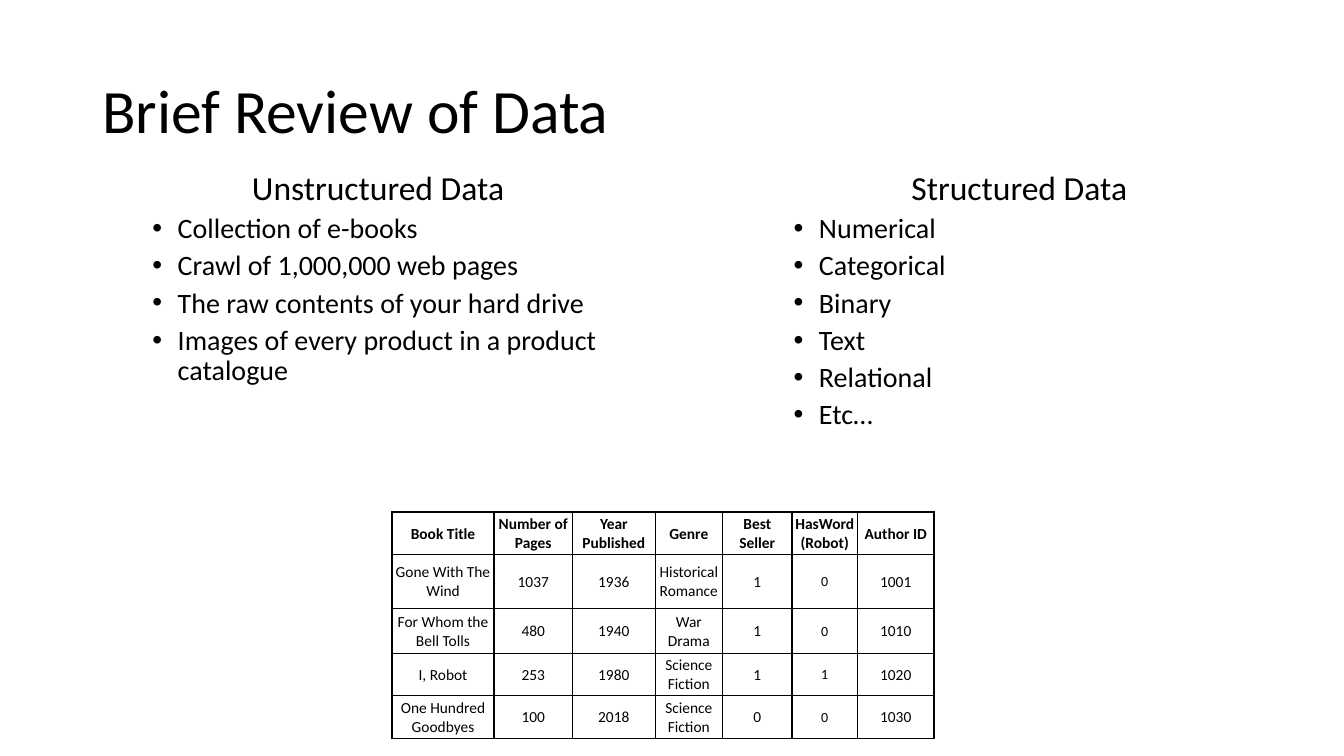
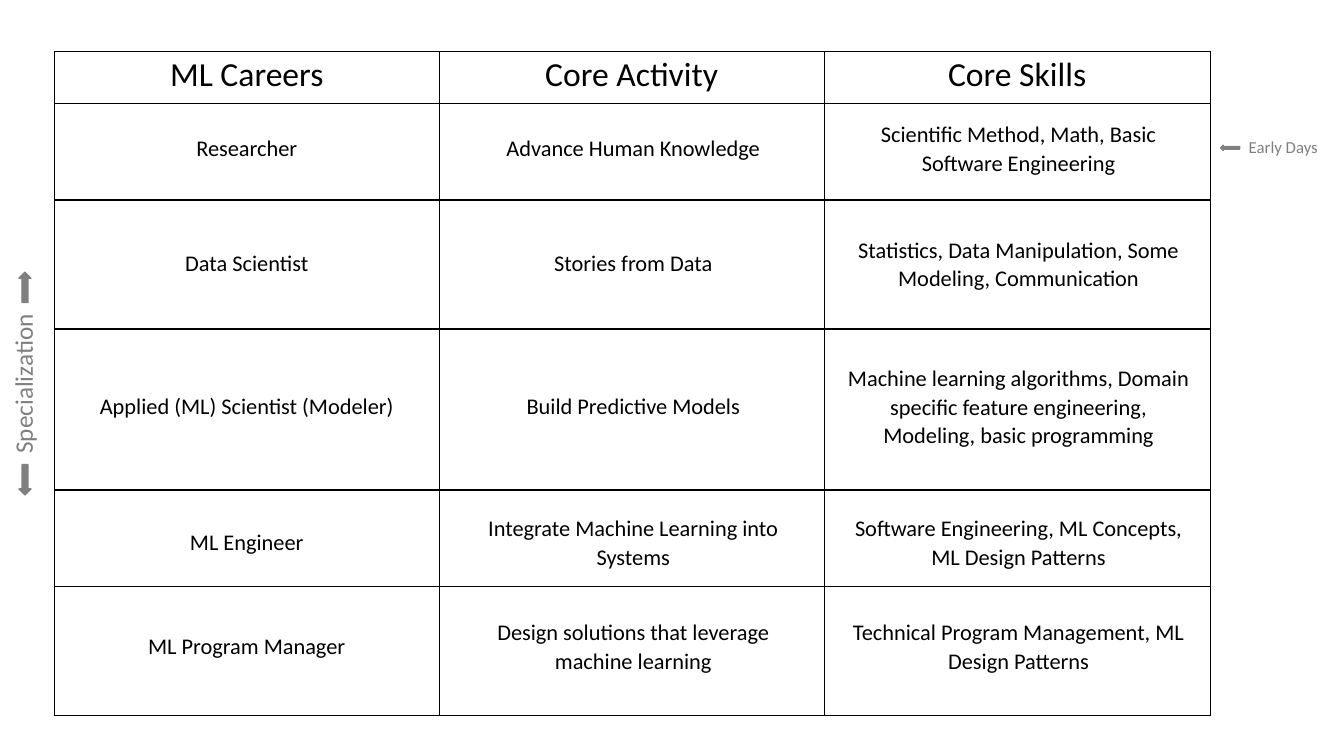
from pptx import Presentation
from pptx.dml.color import RGBColor
from pptx.enum.shapes import MSO_SHAPE
from pptx.enum.text import MSO_ANCHOR, PP_ALIGN
from pptx.oxml.ns import qn
from pptx.util import Cm, Pt
from lxml.etree import SubElement

# Content
LISTS = [
    ("Unstructured Data", ["Collection of e-books", "Crawl of 1,000,000 web pages",
                           "The raw contents of your hard drive",
                           "Images of every product in a product catalogue"]),
    ("Structured Data", ["Numerical", "Categorical", "Binary", "Text", "Relational", "Etc…"]),
]
BOOKS = [
    ("Book Title", "Number of Pages", "Year Published", "Genre", "Best Seller",
     "HasWord(Robot)", "Author ID"),
    ("Gone With The Wind", "1037", "1936", "Historical Romance", "1", "0", "1001"),
    ("For Whom the Bell Tolls", "480", "1940", "War Drama", "1", "0", "1010"),
    ("I, Robot", "253", "1980", "Science Fiction", "1", "1", "1020"),
    ("One Hundred Goodbyes", "100", "2018", "Science Fiction", "0", "0", "1030"),
]
HEADS = ("ML Careers", "Core Activity", "Core Skills")
# Row middle, then text and line count for each column
JOBS = [
    (3.71, [("Researcher", 1), ("Advance Human Knowledge", 1),
            ("Scientific Method, Math, Basic Software Engineering", 2)]),
    (6.62, [("Data Scientist", 1), ("Stories from Data", 1),
            ("Statistics, Data Manipulation, Some Modeling, Communication", 2)]),
    (10.21, [("Applied (ML) Scientist (Modeler)", 1), ("Build Predictive Models", 1),
             ("Machine learning algorithms, Domain specific feature engineering, "
              "Modeling, basic programming", 3)]),
    (13.64, [("ML Engineer", 1), ("Integrate Machine Learning into Systems", 2),
             ("Software Engineering, ML Concepts, ML Design Patterns", 2)]),
    (16.26, [("ML Program Manager", 1), ("Design solutions that leverage machine learning", 2),
             ("Technical Program Management, ML Design Patterns", 2)]),
]
LABELS = [("Early Days", 12, (31.22, 3.33, 2.26, 0.76), 0),
          ("Specialization", 18, (-1.45, 9.14, 4.06, 1.02), 270)]
ARROWS = [((30.76, 3.66, 0.48, 0.13), 180),
          ((0.25, 7.09, 0.76, 0.3), 270),
          ((0.25, 11.94, 0.76, 0.3), 90)]

# Shared look
FONT = "Calibri"
INK = {"text": "000000", "note": "808080"}
MID = {"alignment": PP_ALIGN.CENTER}
TITLE = {"line_spacing": 0.9}
HEAD = {**MID, "line_spacing": 0.9, "space_before": Pt(10)}
ITEM = {"line_spacing": 0.9, "space_before": Pt(5)}
LOOSE = {**MID, "line_spacing": 1.07}


def color(name):
    return RGBColor.from_string(INK[name])


def apply(obj, look):
    for key, val in look.items():
        setattr(obj, key, val)


def write(para, text, size, look, ink="text", bold=False):
    apply(para, look)
    run = para.add_run()
    run.text = text
    apply(run.font, {"name": FONT, "size": Pt(size), "bold": bold})
    run.font.color.rgb = color(ink)


def bullet(para):
    props = para._p.get_or_add_pPr()
    props.set("marL", str(Cm(1.9)))
    props.set("indent", str(-Cm(0.64)))
    SubElement(props, qn("a:buFont")).set("typeface", "Arial")
    SubElement(props, qn("a:buChar")).set("char", "•")


def frame(slide, area, anchor=MSO_ANCHOR.TOP, wrap=True):
    box = slide.shapes.add_textbox(*map(Cm, area))
    apply(box.text_frame, {"word_wrap": wrap, "vertical_anchor": anchor})
    return box


def border(cell):
    props = cell._tc.get_or_add_tcPr()
    for side in "LRTB":
        line = SubElement(props, qn(f"a:ln{side}"), w=str(Pt(1)))
        fill = SubElement(line, qn("a:solidFill"))
        SubElement(fill, qn("a:srgbClr"), val=INK["text"])


def grid(slide, left, top, cols, rows, look):
    area = map(Cm, (left, top, sum(cols), sum(rows)))
    table = slide.shapes.add_table(len(rows), len(cols), *area).table
    apply(table, {"first_row": False, "horz_banding": False})
    for col, width in zip(table.columns, cols):
        col.width = Cm(width)
    for row, height in zip(table.rows, rows):
        row.height = Cm(height)
    for cell in table.iter_cells():
        border(cell)
        cell.fill.background()
        apply(cell, look)
    return table


def review(slide):
    # Title and two lists
    box = frame(slide, (2.33, 1.02, 29.21, 3.68), MSO_ANCHOR.MIDDLE)
    write(box.text_frame.paragraphs[0], "Brief Review of Data", 44, TITLE)
    for left, (head, items) in zip((2.33, 18.49), LISTS):
        text = frame(slide, (left, 4.19, 14.4, 12.09)).text_frame
        write(text.paragraphs[0], head, 24, HEAD)
        for item in items:
            para = text.add_paragraph()
            write(para, item, 20, ITEM)
            bullet(para)

    # Book table
    look = {"margin_left": Cm(0.03), "margin_right": Cm(0.03), "margin_top": Cm(0.03),
            "margin_bottom": 0, "vertical_anchor": MSO_ANCHOR.MIDDLE}
    table = grid(slide, 9.88, 12.9, (2.57, 1.98, 2.08, 1.7, 1.75, 1.65, 1.93),
                 (1.07, 1.37, 1.12, 1.07, 1.07), look)
    for r, row in enumerate(BOOKS):
        for c, text in enumerate(row):
            size = 10 if r and c == 5 else 11
            write(table.cell(r, c).text_frame.paragraphs[0], text, size, MID, bold=r == 0)


def careers(slide):
    # Ruled table with headings
    look = {"margin_left": Cm(0.18), "margin_right": Cm(0.18),
            "margin_top": 0, "margin_bottom": 0}
    table = grid(slide, 1.37, 1.3, (9.7, 9.7, 9.73),
                 (1.3, 2.44, 3.25, 4.06, 2.44, 3.25), look)
    for c, head in enumerate(HEADS):
        write(table.cell(0, c).text_frame.paragraphs[0], head, 24, LOOSE)

    # Entries, centred on each row's middle
    spans = ((1.37, 9.7), (11.4, 9.12), (21.11, 9.12))
    for mid, row in JOBS:
        for (left, width), (text, lines) in zip(spans, row):
            high = 0.94 + 0.74 * (lines - 1)
            box = frame(slide, (left, mid - high / 2, width, high), MSO_ANCHOR.MIDDLE)
            write(box.text_frame.paragraphs[0], text, 16, LOOSE if lines > 1 else MID)

    # Side notes and arrows
    for text, size, area, turn in LABELS:
        box = frame(slide, area, wrap=False)
        box.rotation = turn
        write(box.text_frame.paragraphs[0], text, size, {}, "note")
    for area, turn in ARROWS:
        arrow = slide.shapes.add_shape(MSO_SHAPE.RIGHT_ARROW, *map(Cm, area))
        arrow.rotation = turn
        arrow.shadow.inherit = False
        arrow.fill.solid()
        arrow.fill.fore_color.rgb = color("note")
        arrow.line.color.rgb = color("note")
        arrow.line.width = Pt(1)


def main():
    deck = Presentation()
    apply(deck, {"slide_width": Cm(33.87), "slide_height": Cm(19.05)})
    for build in (review, careers):
        build(deck.slides.add_slide(deck.slide_layouts[6]))
    deck.save("out.pptx")


if __name__ == "__main__":
    main()
